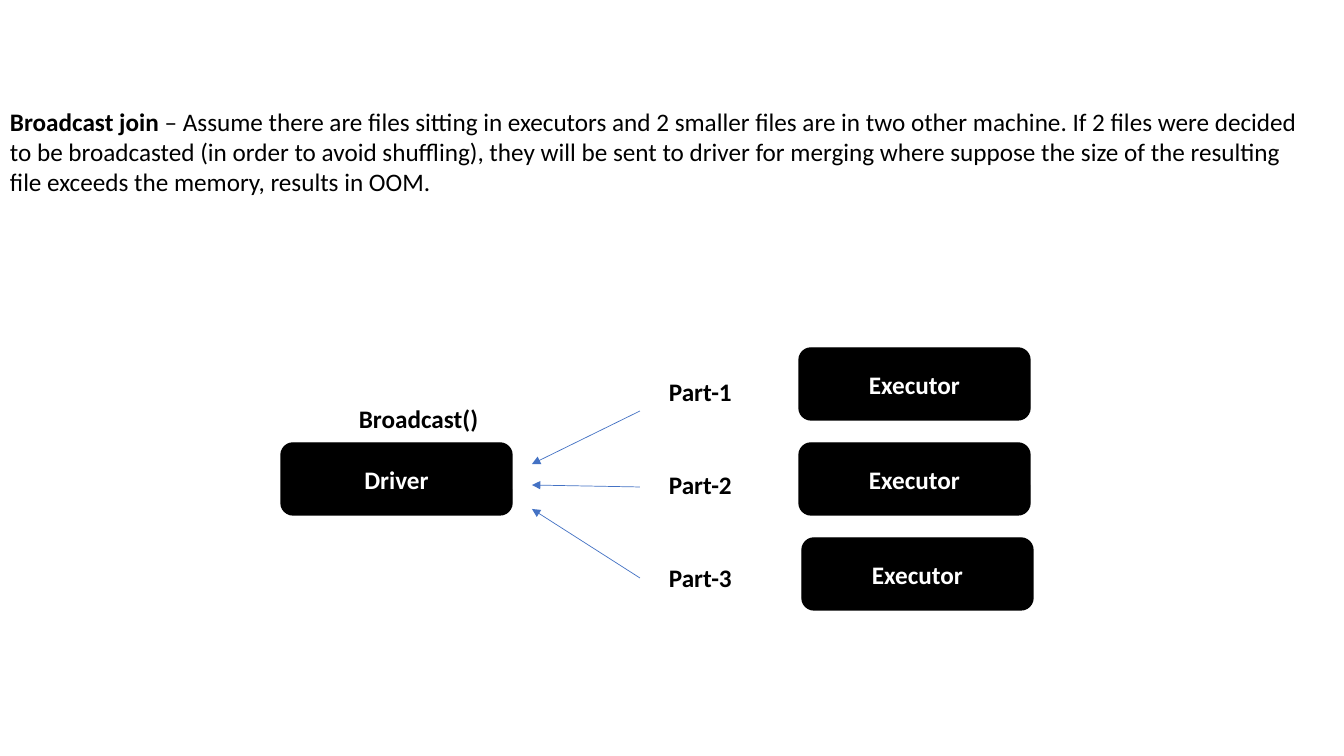
"""Build a slide on how a broadcast join can exhaust driver memory."""
from pptx import Presentation
from pptx.dml.color import RGBColor
from pptx.enum.shapes import MSO_CONNECTOR as CONN, MSO_SHAPE as SHAPE
from pptx.enum.text import MSO_ANCHOR as ANCHOR, PP_ALIGN as ALIGN
from pptx.oxml.ns import qn
from pptx.util import Emu, Pt
from lxml import etree

BLACK = RGBColor(0x00, 0x00, 0x00)
WHITE = RGBColor(0xFF, 0xFF, 0xFF)
BLUE = RGBColor(0x44, 0x72, 0xC4)
EXPLANATION = (
    " – Assume there are files sitting in executors and 2 smaller files are in "
    "two other machine. If 2 files were decided to be broadcasted (in order to "
    "avoid shuffling), they will be sent to driver for merging where suppose the "
    "size of the resulting file exceeds the memory, results in OOM."
)


def px(n):
    return Emu(round(n * 914400 / 100.8))


def style(r, color=BLACK, bold=True):
    r.font.name = "Calibri"
    r.font.size = Pt(18)
    r.font.bold = bold
    r.font.color.rgb = color


def add_node(s, text, x, y):
    sp = s.shapes.add_shape(SHAPE.ROUNDED_RECTANGLE, px(x), px(y), px(231), px(72))
    sp.shadow.inherit = False
    sp.fill.solid()
    sp.fill.fore_color.rgb = BLACK
    sp.line.color.rgb = BLACK
    sp.line.width = Pt(1)
    tf = sp.text_frame
    tf.text = text
    tf.vertical_anchor = ANCHOR.MIDDLE
    p = tf.paragraphs[0]
    p.alignment = ALIGN.CENTER
    style(p.runs[0], WHITE)


def add_text(s, text, x, y, w, h=40):
    tf = s.shapes.add_textbox(px(x), px(y), px(w), px(h)).text_frame
    tf.word_wrap = True
    tf.text = text
    p = tf.paragraphs[0]
    style(p.runs[0])
    return p


def add_arrow(s, x1, y1, x2, y2):
    c = s.shapes.add_connector(CONN.STRAIGHT, px(x1), px(y1), px(x2), px(y2))
    c.line.color.rgb = BLUE
    c.line.width = Pt(0.5)
    etree.SubElement(c.line._get_or_add_ln(), qn("a:tailEnd"), type="triangle")
    etree.SubElement(c._element.spPr, qn("a:effectLst"))


def main():
    prs = Presentation()
    prs.slide_width, prs.slide_height = px(1344), px(756)
    s = prs.slides.add_slide(prs.slide_layouts[6])

    p = add_text(s, "Broadcast join", 0, 101, 1319, 102)
    r = p.add_run()
    r.text = EXPLANATION
    style(r, bold=False)

    for i, x in enumerate((799, 799, 802)):
        add_node(s, "Executor", x, 348 + 95 * i)
    add_node(s, "Driver", 281, 443)
    add_text(s, "Broadcast()", 349, 398, 142)

    for i, (start_y, end_y) in enumerate(((411, 464), (487, 485), (578, 509))):
        add_text(s, f"Part-{i + 1}", 659, 371 + 93 * i, 87)
        add_arrow(s, 640, start_y, 532, end_y)

    prs.save("out.pptx")


if __name__ == "__main__":
    main()
